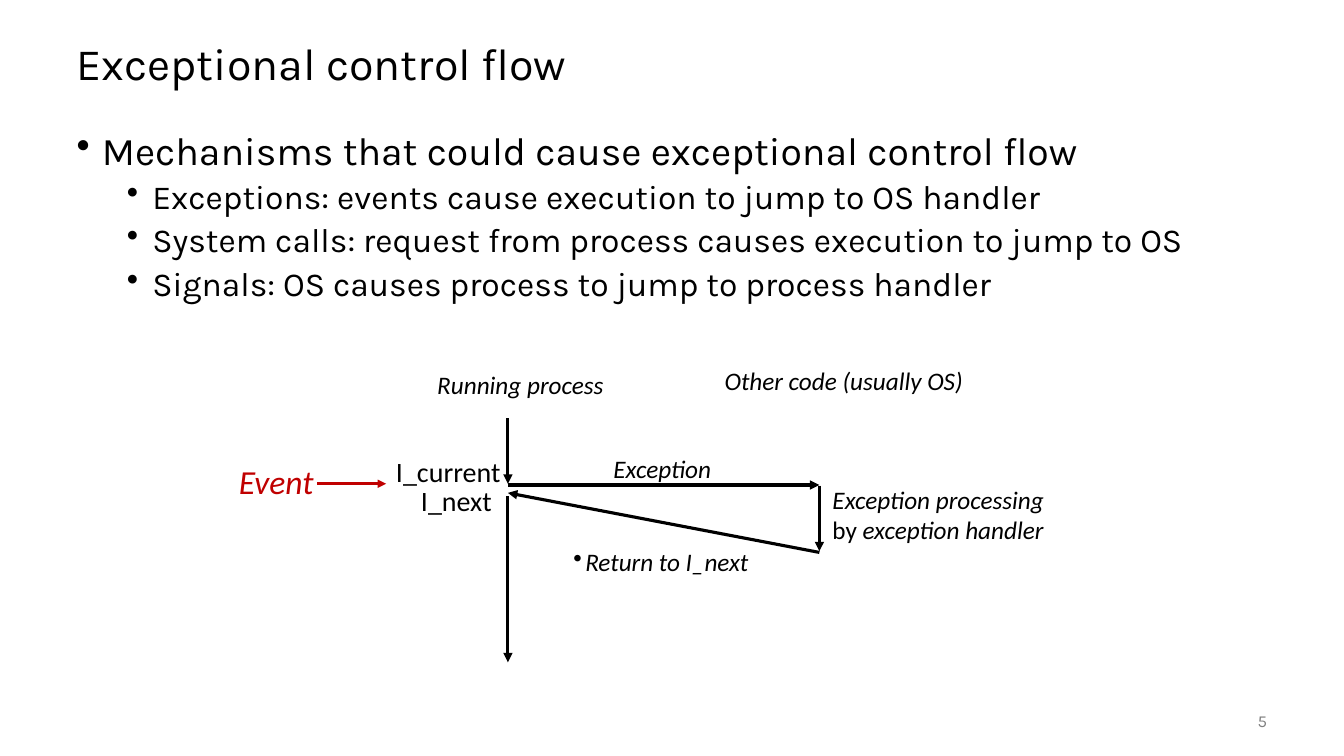
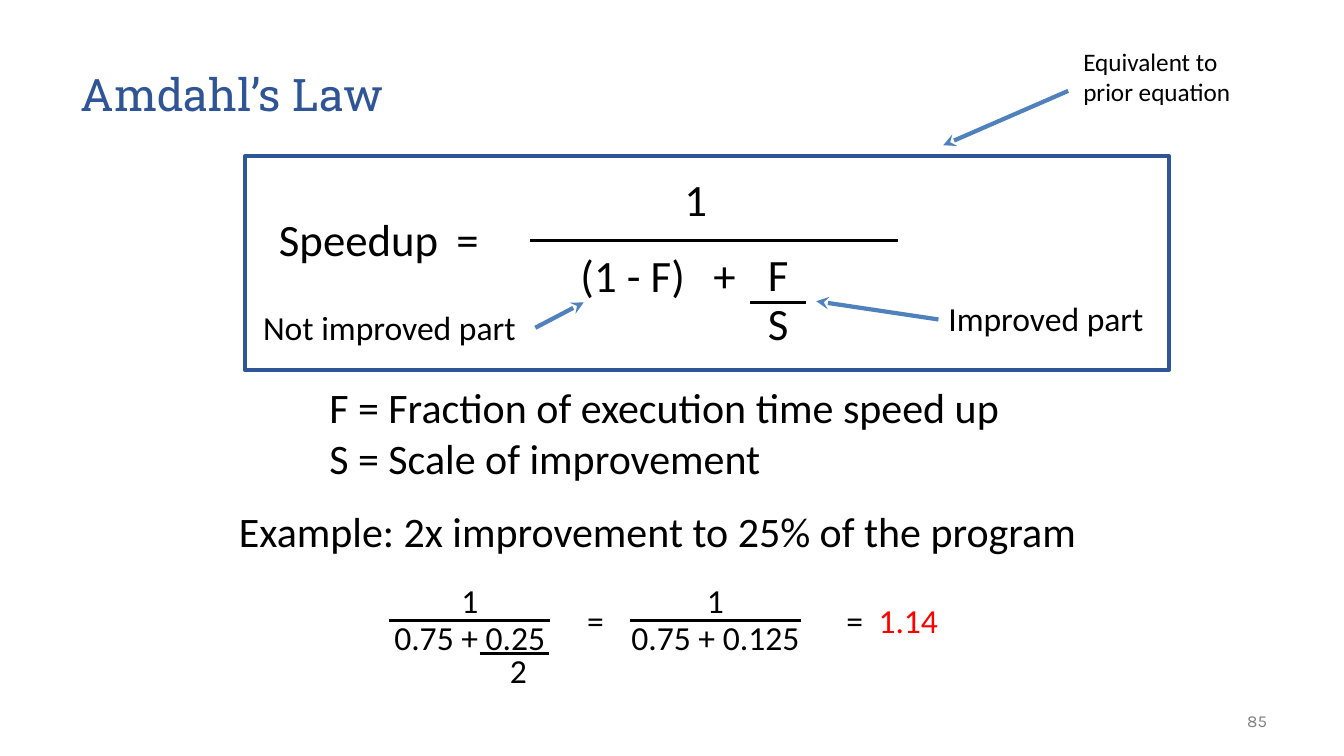
from lxml.etree import SubElement
from pptx import Presentation
from pptx.dml.color import RGBColor
from pptx.enum.shapes import MSO_CONNECTOR, MSO_SHAPE
from pptx.enum.text import MSO_ANCHOR, PP_ALIGN
from pptx.oxml.ns import qn
from pptx.util import Cm, Pt

BLACK = RGBColor(0x00, 0x00, 0x00)
GREY = RGBColor(0x80, 0x80, 0x80)
CRIMSON = RGBColor(0xC0, 0x00, 0x00)
RED = RGBColor(0xFF, 0x00, 0x00)
NAVY = RGBColor(0x2F, 0x55, 0x97)
BLUE = RGBColor(0x4F, 0x81, 0xBD)

HEADING_FONT, DIAGRAM_FONT, SERIF_FONT = "Karla", "Calibri", "Roboto Slab"


class Deck:
    """Holds the shared style and the slide being filled; lengths are in cm."""

    def __init__(self):
        self.presentation = Presentation()
        self.presentation.slide_width = Cm(33.87)
        self.presentation.slide_height = Cm(19.05)
        self.slide = None

    def new_slide(self, number):
        self.slide = self.presentation.slides.add_slide(self.presentation.slide_layouts[6])
        self.text(24.28, 17.65, 7.9, 1.02, str(number), size=12, name=HEADING_FONT,
                  color=GREY, align=PP_ALIGN.RIGHT, anchor=MSO_ANCHOR.MIDDLE)

    def frame(self, left, top, width, height, anchor=MSO_ANCHOR.TOP):
        frame = self.slide.shapes.add_textbox(Cm(left), Cm(top), Cm(width), Cm(height)).text_frame
        frame.word_wrap = True
        frame.vertical_anchor = anchor
        return frame

    def run(self, paragraph, words, size=18, color=BLACK, **font_values):
        run = paragraph.add_run()
        run.text = words
        run.font.color.rgb = color
        values = {"name": DIAGRAM_FONT, "size": Pt(size), **font_values}
        for attribute, value in values.items():
            setattr(run.font, attribute, value)

    def bullet(self, paragraph, margin, hanging):
        properties = paragraph._p.get_or_add_pPr()
        properties.set("marL", str(Cm(margin)))
        properties.set("indent", str(-Cm(hanging)))
        SubElement(properties, qn("a:buChar")).set("char", "•")

    def tab_stop(self, paragraph, position):
        stops = SubElement(paragraph._p.get_or_add_pPr(), qn("a:tabLst"))
        stop = SubElement(stops, qn("a:tab"))
        stop.set("pos", str(Cm(position)))
        stop.set("algn", "l")

    def text(self, left, top, width, height, *lines, align=PP_ALIGN.LEFT,
             anchor=MSO_ANCHOR.TOP, tab=None, hanging=None, **style):
        """Each line is a string, or a list of (words, style changes) pairs."""
        frame = self.frame(left, top, width, height, anchor)
        for index, line in enumerate(lines):
            paragraph = frame.add_paragraph() if index else frame.paragraphs[0]
            if hanging:
                self.bullet(paragraph, hanging, hanging)
            if tab:
                self.tab_stop(paragraph, tab)
            paragraph.alignment = align
            pieces = [(line, {})] if isinstance(line, str) else line
            for words, changes in pieces:
                self.run(paragraph, words, **{**style, **changes})

    def title(self, left, top, width, height, words, **style):
        self.text(left, top, width, height, words, size=32, anchor=MSO_ANCHOR.MIDDLE, **style)

    def outline(self, left, top, width, height, points):
        """Bulleted list of (level, words) points."""
        levels = {0: (0.64, 28, 14), 1: (1.91, 24, 5)}
        frame = self.frame(left, top, width, height)
        for index, (level, words) in enumerate(points):
            margin, size, space = levels[level]
            paragraph = frame.add_paragraph() if index else frame.paragraphs[0]
            self.bullet(paragraph, margin, 0.64)
            paragraph.level = level
            paragraph.line_spacing = 0.9
            if index:
                paragraph.space_before = Pt(space)
            self.run(paragraph, words, size=size, name=HEADING_FONT)

    def line(self, start, end, color=BLACK, weight=2, head=None):
        connector = self.slide.shapes.add_connector(
            MSO_CONNECTOR.STRAIGHT, *map(Cm, start), *map(Cm, end))
        connector.line.color.rgb = color
        connector.line.width = Pt(weight)
        if head:
            SubElement(connector.line._get_or_add_ln(), qn("a:tailEnd")).set("type", head)
        SubElement(connector._element.spPr, qn("a:effectLst"))

    def fraction(self, center, bar_y, bar_width, numerator, denominator, size):
        left, width = center - bar_width / 2, bar_width + 0.8
        for words, top in ((numerator, bar_y - 0.0475 * size), (denominator, bar_y - 0.0095 * size)):
            self.text(left - 0.4, top, width, 0.05 * size, words, size=size, align=PP_ALIGN.CENTER)
        self.line((left, bar_y), (left + bar_width, bar_y))

    def border(self, left, top, width, height, color, weight):
        box = self.slide.shapes.add_shape(
            MSO_SHAPE.RECTANGLE, Cm(left), Cm(top), Cm(width), Cm(height))
        box.shadow.inherit = False
        box.fill.background()
        box.line.color.rgb = color
        box.line.width = Pt(weight)


def exceptional_control_flow(deck):
    deck.new_slide(5)
    deck.title(1.68, 0.64, 30.48, 1.9, "Exceptional control flow", name=HEADING_FONT)
    deck.outline(1.68, 3.18, 30.48, 5.5, [
        (0, "Mechanisms that could cause exceptional control flow"),
        (1, "Exceptions: events cause execution to jump to OS handler"),
        (1, "System calls: request from process causes execution to jump to OS"),
        (1, "Signals: OS causes process to jump to process handler"),
    ])

    process_x, handler_x = 12.8, 20.65
    for start, end in (
        ((process_x, 10.54), (process_x, 12.19)),
        ((process_x, 12.22), (handler_x, 12.22)),
        ((handler_x, 12.24), (handler_x, 13.89)),
        ((handler_x, 13.92), (process_x, 12.42)),
        ((process_x, 12.5), (process_x, 16.69)),
    ):
        deck.line(start, end, weight=2.25, head="triangle")

    for left, top, width, words in (
        (10.77, 9.19, 5.2, "Running process"),
        (18.01, 9.09, 7, "Other code (usually OS)"),
        (15.21, 11.3, 3.4, "Exception"),
    ):
        deck.text(left, top, width, 1.02, words, italic=True)
    deck.text(20.73, 12.07, 5.97, 1.8, "Exception processing",
              [("by ", {"italic": False}), ("exception handler", {})], italic=True)
    deck.text(14.2, 13.64, 5.2, 1.02, "Return to I_next", italic=True, hanging=0.3)
    deck.text(9.73, 11.33, 3.4, 1.12, "I_current", size=20)
    deck.text(10.36, 12.07, 2.5, 1.12, "I_next", size=20)

    deck.text(5.77, 11.48, 3.18, 1.27, "Event", size=24, color=CRIMSON, italic=True)
    deck.line((8, 12.19), (9.73, 12.19), CRIMSON, head="triangle")


def amdahls_law(deck):
    deck.new_slide(85)
    deck.title(1.78, 0.76, 30.3, 3.18, "Amdahl’s Law", name=SERIF_FONT, color=NAVY)
    deck.border(6.17, 3.94, 23.29, 5.38, NAVY, 3)

    deck.text(6.78, 5.21, 6.2, 1.63, "Speedup\t=", size=32, tab=4.47)
    deck.text(14.5, 4.19, 6.07, 1.63, "1", size=32, align=PP_ALIGN.CENTER)
    deck.line((13.36, 6.07), (22.63, 6.07))
    deck.text(14.38, 6.12, 4.7, 1.63, "(1 - F)\t+", size=32, tab=3.35)
    deck.fraction(19.61, 7.62, 1.42, "F", "S", 32)

    deck.text(6.38, 7.62, 7.11, 1.27, "Not improved part", size=24)
    deck.text(23.65, 7.39, 5.6, 1.27, "Improved part", size=24)
    deck.text(27.05, 1.04, 4.8, 1.8, "Equivalent to prior equation")
    for start, end in (
        ((13.49, 8.26), (14.71, 7.62)),
        ((23.65, 8.05), (20.57, 7.59)),
        ((26.92, 2.29), (23.77, 3.66)),
    ):
        deck.line(start, end, BLUE, 3, "stealth")

    deck.text(8.05, 9.5, 20, 2.85, "F = Fraction of execution time speed up",
              "S = Scale of improvement", size=30)
    deck.text(5.77, 12.62, 22.5, 1.6, "Example: 2x improvement to 25% of the program", size=30)

    deck.fraction(11.84, 15.64, 4.06, "1", "0.75 + 0.25", 24)
    deck.line((12.09, 16.46), (13.84, 16.46))
    deck.text(12.6, 16.26, 1, 1.27, "2", size=24)
    deck.fraction(18.03, 15.64, 4.32, "1", "0.75 + 0.125", 24)
    for left, width, words, color in (
        (14.55, 1, "=", BLACK),
        (21.08, 1, "=", BLACK),
        (21.89, 2.2, "1.14", RED),
    ):
        deck.text(left, 14.99, width, 1.27, words, size=24, color=color)


def main():
    deck = Deck()
    exceptional_control_flow(deck)
    amdahls_law(deck)
    deck.presentation.save("out.pptx")


if __name__ == "__main__":
    main()
